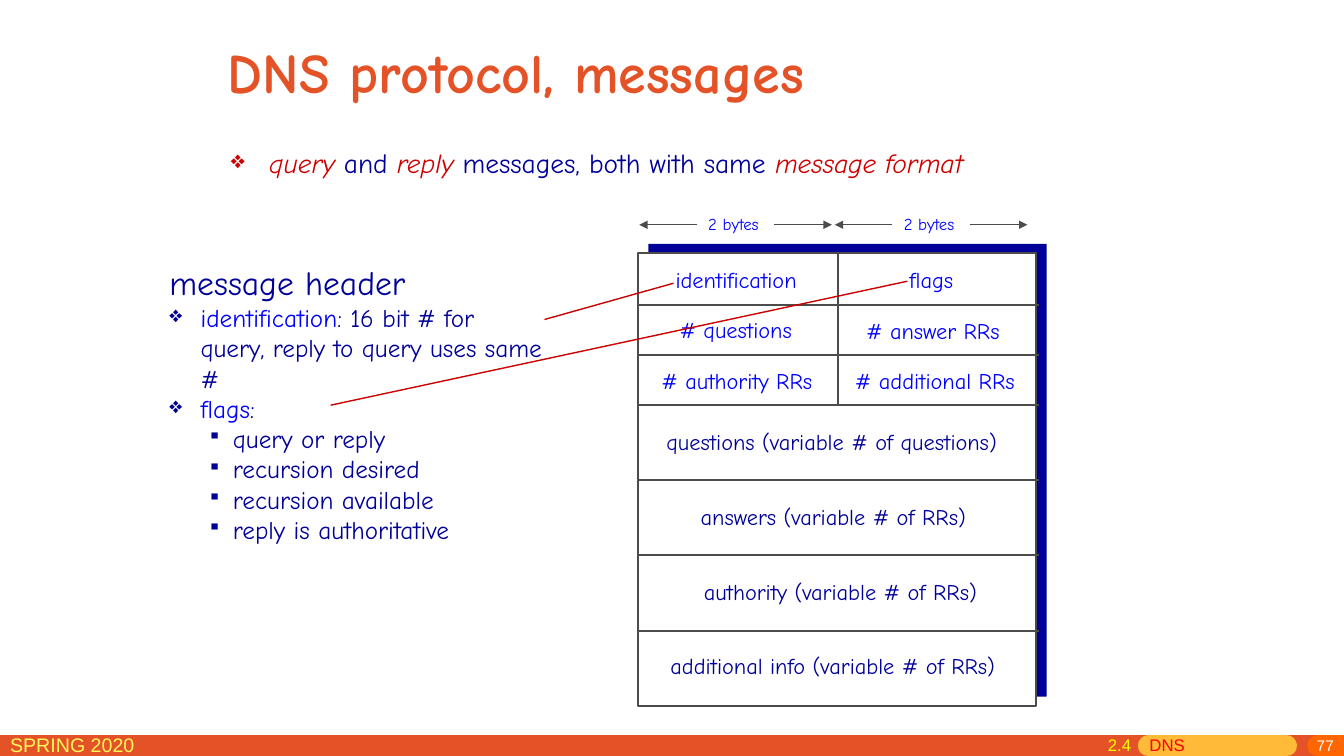
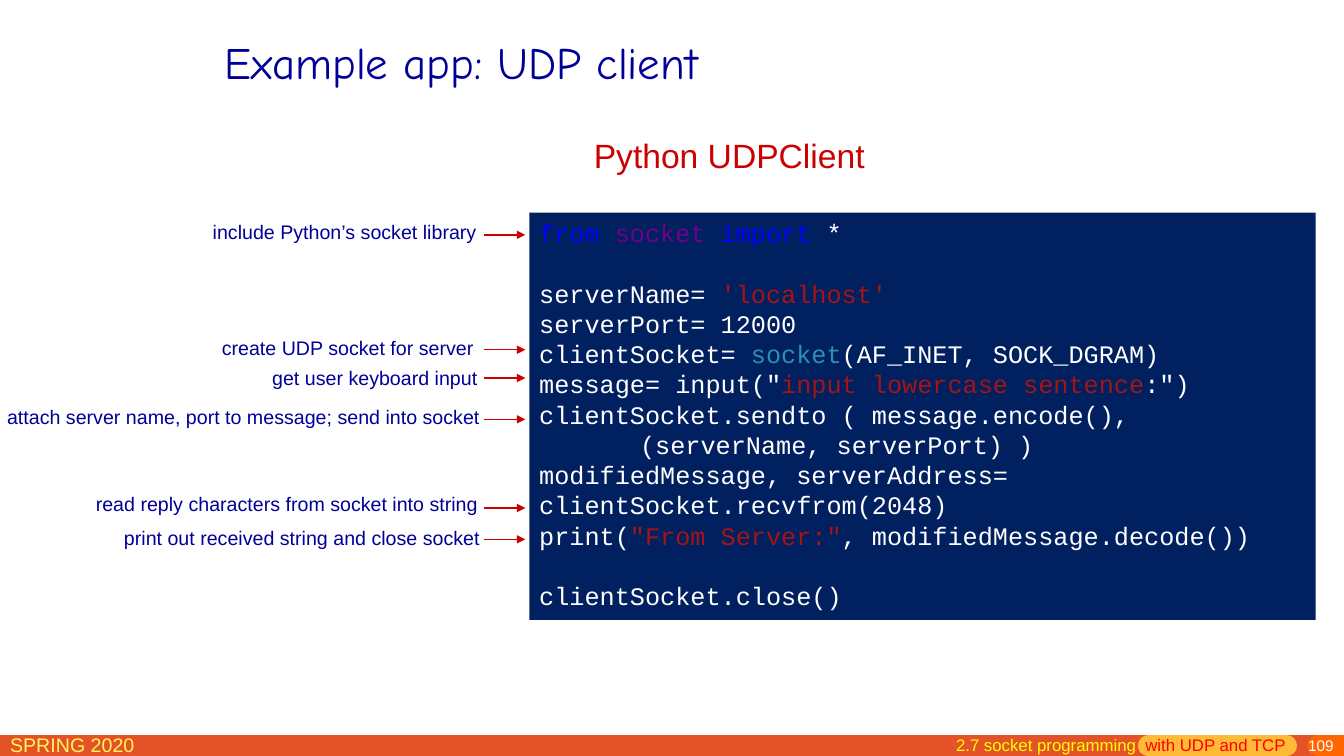
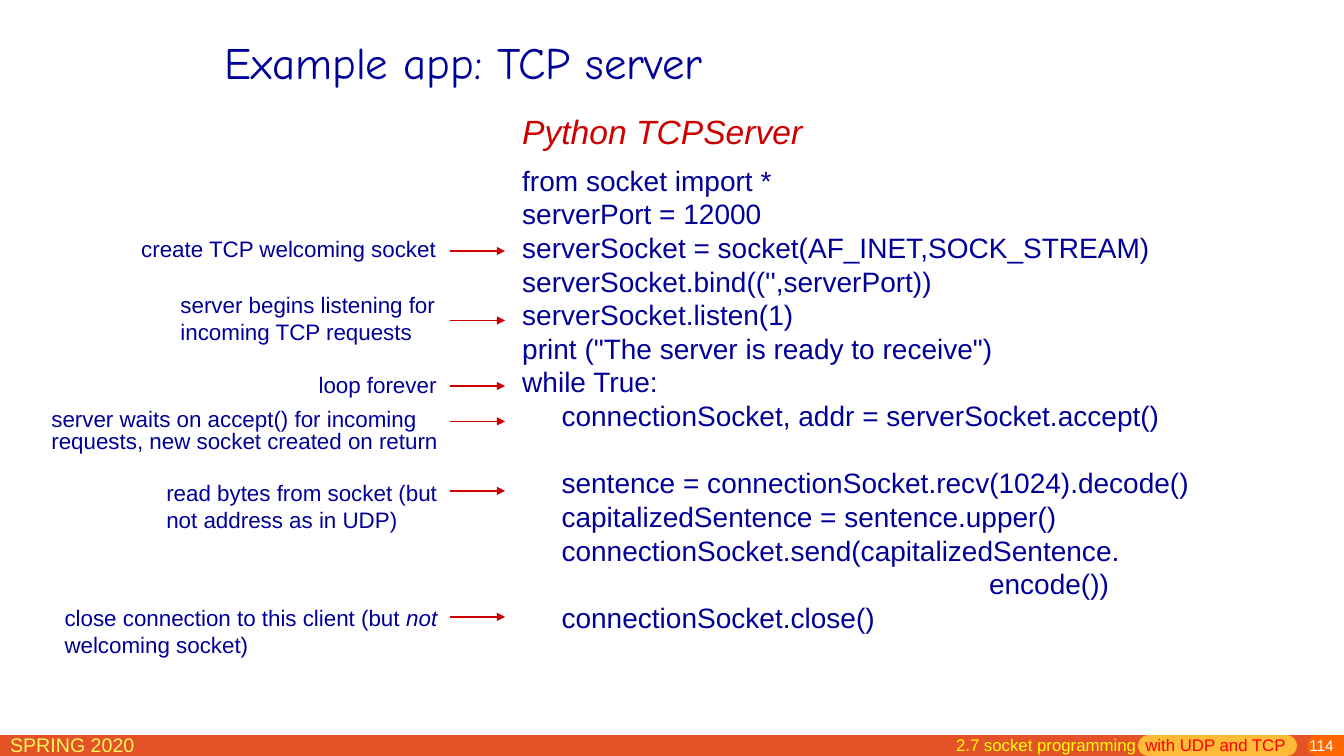
import dataclasses

import lxml.etree
import pptx
import pptx.dml.color
import pptx.enum.shapes
import pptx.enum.text
import pptx.oxml.ns
import pptx.util

Inches = pptx.util.Inches
Pt = pptx.util.Pt
qn = pptx.oxml.ns.qn
RGB = pptx.dml.color.RGBColor.from_string
ALIGN = pptx.enum.text.PP_ALIGN
ANCHOR = pptx.enum.text.MSO_ANCHOR
RECTANGLE = pptx.enum.shapes.MSO_SHAPE.RECTANGLE
STRAIGHT = pptx.enum.shapes.MSO_CONNECTOR.STRAIGHT


@dataclasses.dataclass(frozen=True)
class Theme:
    navy: str = "000099"
    blue: str = "0000FF"
    red: str = "CC0000"
    orange: str = "E45327"
    amber: str = "FFBA37"
    badge: str = "FF6600"
    term: str = "FFF65C"
    section: str = "FFFF00"
    topic: str = "FF0000"
    gray: str = "4C4C4C"
    white: str = "FFFFFF"
    panel: str = "002060"
    module: str = "6F008A"
    string: str = "A31515"
    function: str = "2B91AF"
    sans: str = "Arial"
    comic: str = "Comic Neue"
    mono: str = "Courier New"
    lead_title_size: float = 40
    title_size: float = 32
    heading_size: float = 24
    server_code_size: float = 20
    intro_size: float = 19.6
    code_size: float = 18
    field_size: float = 16
    note_size: float = 14
    small_size: float = 12
    number_size: float = 11


theme = Theme()


def write(shape, paragraphs, size, color, font=theme.sans, align=ALIGN.LEFT,
          anchor=ANCHOR.TOP, inset=(0, 0), leading=1.2, bold=False):
    """Fill a shape with paragraphs: strings, or lists of (text, color, italic) runs."""
    frame = shape.text_frame
    frame.word_wrap = True
    frame.auto_size = pptx.enum.text.MSO_AUTO_SIZE.NONE
    frame.vertical_anchor = anchor
    frame.margin_left = frame.margin_right = Inches(inset[0])
    frame.margin_top = frame.margin_bottom = Inches(inset[1])
    for index, runs in enumerate(paragraphs):
        paragraph = frame.add_paragraph() if index else frame.paragraphs[0]
        paragraph.alignment = align
        paragraph.line_spacing = Pt(round(size * leading, 2))
        for part in [(runs,)] if isinstance(runs, str) else runs:
            text, run_color, italic = part + (color, False)[len(part) - 1:]
            run = paragraph.add_run()
            run.text = text
            run.font.name = font
            run.font.size = Pt(size)
            run.font.bold = bold
            run.font.italic = italic
            run.font.color.rgb = RGB(run_color)
    return frame.paragraphs


def add_line(slide, start, end, color, width, arrow=False, rounded=False):
    """Draw a straight line without a shadow."""
    line = slide.shapes.add_connector(STRAIGHT, *map(Inches, start + end))
    line.line.color.rgb = RGB(color)
    line.line.width = Pt(width)
    properties = line._element.spPr
    outline = properties.find(qn("a:ln"))
    if rounded:
        outline.set("cap", "rnd")
    if arrow:
        lxml.etree.SubElement(outline, qn("a:tailEnd"), type="triangle")
    lxml.etree.SubElement(properties, qn("a:effectLst"))


presentation = pptx.Presentation()
presentation.slide_width = Inches(13.33)
presentation.slide_height = Inches(7.5)

# Shared title and footer of every slide
code_title = ((2.13, 0.1, 8.5, 1.02), theme.title_size, theme.navy, False)
udp_tcp = ("2.7 socket programming", 11.27, "with UDP and TCP", 11.36)
slides = []
for (title, (title_box, title_size, title_color, bold),
     (section, section_right, topic, topic_left), number) in [
    ("DNS protocol, messages", ((2.16, 0.24, 8.5, 0.94), theme.lead_title_size, theme.orange, True),
     ("2.4", 11.22, "DNS", 11.4), "77"),
    ("Example app: UDP client", code_title, udp_tcp, "109"),
    ("Example app: TCP server", code_title, udp_tcp, "114"),
]:
    slide = presentation.slides.add_slide(presentation.slide_layouts[5])
    slides.append(slide)
    placeholder = slide.shapes.title
    placeholder.left, placeholder.top, placeholder.width, placeholder.height = map(Inches, title_box)
    write(placeholder, [title], title_size, title_color, theme.comic,
          anchor=ANCHOR.MIDDLE, inset=(0.1, 0.05), bold=bold)

    for left, right, color, rounded in [
        (0, 13.33, theme.orange, False),
        (11.39, 12.76, theme.amber, True),
        (13.07, 13.33, theme.badge, True),
    ]:
        add_line(slide, (left, 7.4), (right, 7.4), color, 15, rounded=rounded)
    for text, left, width, size, color, align in [
        ("SPRING 2020", 0.1, 2, theme.note_size, theme.term, ALIGN.LEFT),
        (section, section_right - 2.5, 2.5, theme.small_size, theme.section, ALIGN.RIGHT),
        (topic, topic_left, 1.45, theme.small_size, theme.topic, ALIGN.LEFT),
        (number, 12.83, 0.4, theme.number_size, theme.white, ALIGN.RIGHT),
    ]:
        box = slide.shapes.add_textbox(Inches(left), Inches(7.28), Inches(width), Inches(0.22))
        write(box, [text], size, color, align=align, anchor=ANCHOR.MIDDLE)

dns_slide, client_slide, server_slide = slides

# DNS: introduction and message header
intro_box = dns_slide.shapes.add_textbox(Inches(2.29), Inches(1.45), Inches(8.35), Inches(0.4))
intro = write(intro_box, [[
    ("query ", theme.red, True), ("and ",), ("reply", theme.red, True),
    (" messages, both with same ",), ("message format", theme.red, True),
]], theme.intro_size, theme.navy, theme.comic)
header_box = dns_slide.shapes.add_textbox(Inches(1.68), Inches(2.6), Inches(3.71), Inches(0.4))
write(header_box, ["message header"], theme.heading_size, theme.navy, theme.comic)
list_box = dns_slide.shapes.add_textbox(Inches(1.68), Inches(3), Inches(3.71), Inches(2.5))
items = write(list_box, [
    [("identification", theme.blue), (": 16 bit # for query, reply to query uses same #",)],
    [("flags", theme.blue), (":",)],
    "query or reply",
    "recursion desired",
    "recursion available",
    "reply is authoritative",
], theme.code_size, theme.navy, theme.comic)

# DNS: bullets
for paragraphs, character, color, percent, margin, hanging in [
    (intro, "❖", theme.red, 90, 0.38, 0.38),
    (items[:2], "❖", theme.navy, 90, 0.31, 0.31),
    (items[2:], "▪", theme.navy, 75, 0.63, 0.25),
]:
    for paragraph in paragraphs:
        properties = paragraph._p.get_or_add_pPr()
        properties.set("marL", str(Inches(margin)))
        properties.set("indent", str(-Inches(hanging)))
        bullet_color = lxml.etree.SubElement(properties, qn("a:buClr"))
        lxml.etree.SubElement(bullet_color, qn("a:srgbClr"), val=color)
        lxml.etree.SubElement(properties, qn("a:buSzPct"), val=str(percent * 1000))
        lxml.etree.SubElement(properties, qn("a:buChar"), char=character)

# DNS: message format frame in front of its backdrop, with dividers
for left, top, color in [(6.43, 2.42, theme.navy), (6.33, 2.51, theme.white)]:
    frame = dns_slide.shapes.add_shape(RECTANGLE, Inches(left), Inches(top), Inches(3.95), Inches(4.49))
    frame.shadow.inherit = False
    frame.fill.solid()
    frame.fill.fore_color.rgb = RGB(color)
    frame.line.fill.background()
frame.line.color.rgb = RGB(theme.gray)
frame.line.width = Pt(1.5)
for divider in (3.03, 3.52, 4.02, 4.76, 5.51, 6.26):
    add_line(dns_slide, (6.32, divider), (10.31, divider), theme.gray, 1.5)
add_line(dns_slide, (8.31, 2.52), (8.31, 4.01), theme.gray, 1.5)

# DNS: field names
for text, left, top, width, color in [
    ("identification", 6.7, 2.64, 1.42, theme.blue),
    ("flags", 9.02, 2.64, 0.52, theme.blue),
    ("# questions", 6.74, 3.14, 1.24, theme.blue),
    ("# answer RRs", 8.59, 3.15, 1.44, theme.blue),
    ("# authority RRs", 6.56, 3.64, 1.69, theme.blue),
    ("# additional RRs", 8.48, 3.64, 1.74, theme.blue),
    ("questions (variable # of questions)", 6.61, 4.25, 3.64, theme.navy),
    ("answers (variable # of RRs)", 6.95, 4.99, 2.91, theme.navy),
    ("authority (variable # of RRs)", 6.98, 5.74, 3.05, theme.navy),
    ("additional info (variable # of RRs)", 6.65, 6.47, 3.57, theme.navy),
]:
    box = dns_slide.shapes.add_textbox(Inches(left), Inches(top), Inches(width), Inches(0.27))
    write(box, [text], theme.field_size, color, theme.comic)

# DNS: width marks above the columns and pointers from the list
for left in (6.34, 8.28):
    add_line(dns_slide, (left + 0.57, 2.23), (left, 2.23), theme.gray, 0.75, arrow=True)
    add_line(dns_slide, (left + 1.34, 2.23), (left + 1.91, 2.23), theme.gray, 0.75, arrow=True)
    mark = dns_slide.shapes.add_textbox(Inches(left + 0.55), Inches(2.12), Inches(0.77), Inches(0.22))
    write(mark, ["2 bytes"], theme.small_size, theme.blue, theme.comic, ALIGN.CENTER)
add_line(dns_slide, (5.4, 3.17), (6.68, 2.81), theme.red, 1)
add_line(dns_slide, (3.28, 4.02), (9, 2.79), theme.red, 1)

# Headings of the two code slides
for slide, heading, left, top, italic in [
    (client_slide, "Python UDPClient", 5.89, 1.34, False),
    (server_slide, "Python TCPServer", 5.18, 1.1, True),
]:
    box = slide.shapes.add_textbox(Inches(left), Inches(top), Inches(3), Inches(0.42))
    write(box, [[(heading, theme.red, italic)]], theme.heading_size, theme.red)

# Client code on a dark panel
panel = client_slide.shapes.add_shape(RECTANGLE, Inches(5.25), Inches(2.11), Inches(7.8), Inches(4.04))
panel.shadow.inherit = False
panel.fill.solid()
panel.fill.fore_color.rgb = RGB(theme.panel)
panel.line.fill.background()
client_code = write(panel, [
    [("from ", theme.blue), ("socket ", theme.module), ("import ", theme.blue), ("*",)],
    [("serverName= ",), ("'localhost'", theme.string)],
    "serverPort= 12000",
    [("clientSocket= ",), ("socket", theme.function), ("(AF_INET, SOCK_DGRAM)",)],
    [("message= input(\"",), ("input lowercase sentence", theme.string), (":\")",)],
    "clientSocket.sendto ( message.encode(),",
    "(serverName, serverPort) )",
    "modifiedMessage, serverAddress= clientSocket.recvfrom(2048)",
    [("print(",), ("\"From Server:\"", theme.string), (", modifiedMessage.decode())",)],
    "clientSocket.close()",
], theme.code_size, theme.white, theme.mono, inset=(0.1, 0.05))

# Server code
code_box = server_slide.shapes.add_textbox(Inches(5.18), Inches(1.62), Inches(6.86), Inches(4.7))
server_code = write(code_box, [
    "from socket import *",
    "serverPort = 12000",
    "serverSocket = socket(AF_INET,SOCK_STREAM)",
    "serverSocket.bind(('',serverPort))",
    "serverSocket.listen(1)",
    "print (\"The server is ready to receive\")",
    "while True:",
    "connectionSocket, addr = serverSocket.accept()",
    "sentence = connectionSocket.recv(1024).decode()",
    "capitalizedSentence = sentence.upper()",
    "connectionSocket.send(capitalizedSentence.",
    "encode())",
    "connectionSocket.close()",
], theme.server_code_size, theme.navy)

# Code indents, and one line of space between code sections
for paragraphs, indent in [
    (client_code[6:7], 1), (server_code[7:], 0.39), (server_code[11:12], 4.63),
]:
    for paragraph in paragraphs:
        paragraph._p.get_or_add_pPr().set("marL", str(Inches(indent)))
for paragraph in (client_code[1], client_code[9], server_code[8]):
    paragraph.space_before = paragraph.line_spacing

# Explanations with arrows to the code: left, top, width, leading, text, arrow height
client_notes = [
    (2.11, 2.18, 2.7, 1.2, "include Python’s socket library", 2.33),
    (2.2, 3.33, 2.6, 1.2, "create UDP socket for server", 3.47),
    (2.7, 3.63, 2.1, 1.2, "get user keyboard input", 3.75),
    (0.07, 4.02, 4.8, 1.2, "attach server name, port to message; send into socket", 4.16),
    (0.95, 4.88, 3.85, 1.2, "read reply characters from socket into string", 5.04),
    (1.23, 5.22, 3.6, 1.2, "print out received string and close socket", 5.35),
]
server_notes = [
    (1.4, 2.33, 3.05, 1.2, "create TCP welcoming socket", 2.49),
    (1.79, 2.89, 2.9, 1.2, "server begins listening for incoming TCP requests", 3.18),
    (3.16, 3.68, 1.3, 1.2, "loop forever", 3.83),
    (0.51, 4.06, 4.1, 1, "server waits on accept() for incoming requests, new socket created on return", 4.18),
    (1.65, 4.75, 2.8, 1.2, "read bytes from socket (but not address as in UDP)", 4.87),
    (0.64, 5.99, 4.07, 1.2, [("close connection to this client (but ",), ("not", theme.navy, True),
                             (" welcoming socket)",)], 6.12),
]
for slide, notes, size, arrow_start, arrow_end in [
    (client_slide, client_notes, theme.note_size, 4.8, 5.21),
    (server_slide, server_notes, theme.field_size, 4.46, 5.01),
]:
    for left, top, width, leading, text, arrow_top in notes:
        box = slide.shapes.add_textbox(Inches(left), Inches(top), Inches(width), Inches(0.25))
        write(box, [text], size, theme.navy, leading=leading)
        add_line(slide, (arrow_start, arrow_top), (arrow_end, arrow_top), theme.red, 1, arrow=True)

presentation.save("out.pptx")
